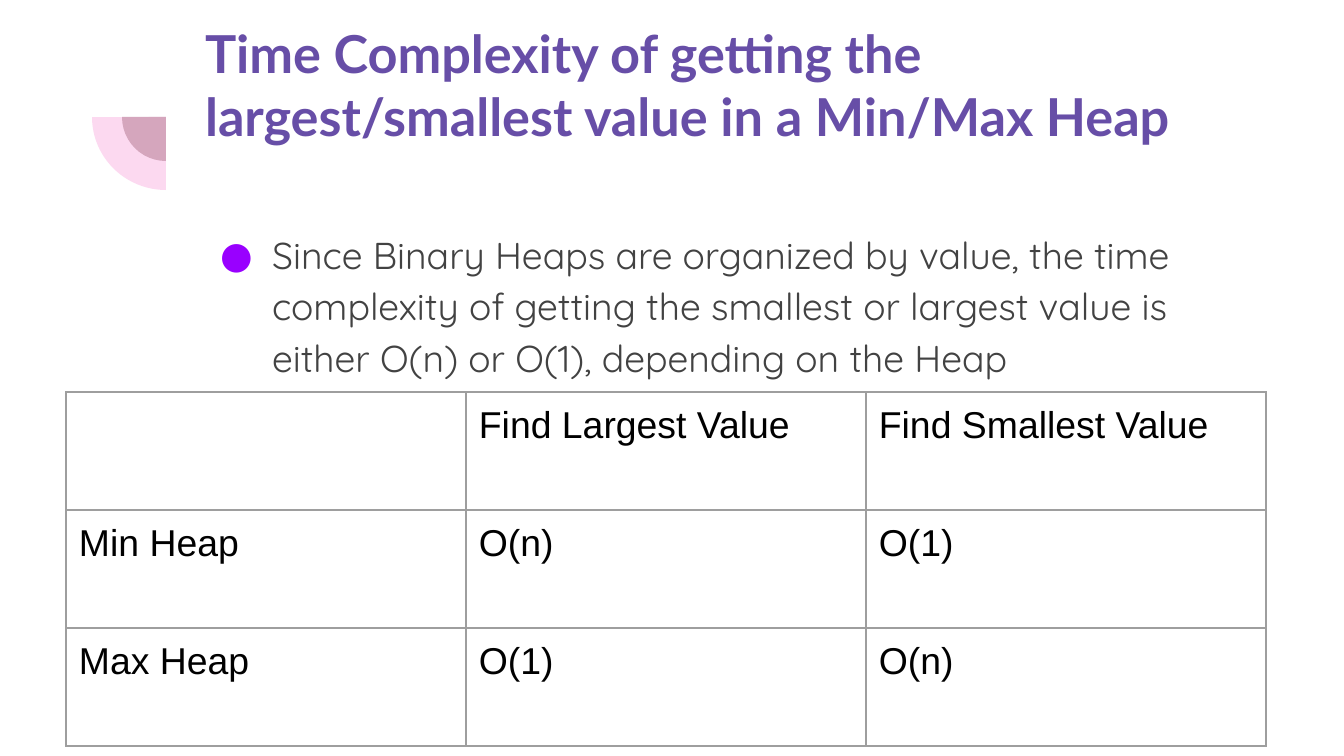
from lxml import etree
from pptx import Presentation
from pptx.dml.color import RGBColor
from pptx.enum.shapes import MSO_SHAPE
from pptx.enum.text import MSO_ANCHOR
from pptx.oxml.ns import qn
from pptx.util import Emu, Pt

PIE = MSO_SHAPE.PIE
TOP = MSO_ANCHOR.TOP
EMU_PER_PX = 914400 / 134.4
INSET = 13
BORDER_COLOR = "9E9E9E"
BORDER_WIDTH = Pt(0.75)

TITLE = "Time Complexity of getting the largest/smallest value in a Min/Max Heap"
BODY = (
    "Since Binary Heaps are organized by value, the time complexity of getting "
    "the smallest or largest value is either O(n) or O(1), depending on the Heap"
)
COMPLEXITIES = [
    ["", "Find Largest Value", "Find Smallest Value"],
    ["Min Heap", "O(n)", "O(1)"],
    ["Max Heap", "O(1)", "O(n)"],
]


def px(length):
    return Emu(round(length * EMU_PER_PX))


def color(value):
    return RGBColor.from_string(value)


def add_quarter(slide, left, top, width, height, fill):
    shape = slide.shapes.add_shape(PIE, px(left), px(top), px(width), px(height))
    shape.adjustments[0] = 54
    shape.adjustments[1] = 108
    shape.shadow.inherit = False
    shape.fill.solid()
    shape.fill.fore_color.rgb = color(fill)
    shape.line.fill.background()


def set_insets(holder):
    holder.margin_left = holder.margin_right = px(INSET)
    holder.margin_top = holder.margin_bottom = px(INSET)
    holder.vertical_anchor = TOP


def add_run(paragraph, text, size, font_name, font_color, bold=False):
    run = paragraph.add_run()
    run.text = text
    run.font.size = Pt(size)
    run.font.name = font_name
    run.font.bold = bold
    run.font.color.rgb = color(font_color)


def add_text_box(slide, left, top, width, height):
    shape = slide.shapes.add_textbox(px(left), px(top), px(width), px(height))
    frame = shape.text_frame
    frame.word_wrap = True
    set_insets(frame)
    return frame.paragraphs[0]


def add_bullet(paragraph, character, bullet_color, margin, indent):
    properties = paragraph._p.get_or_add_pPr()
    properties.set("marL", str(px(margin)))
    properties.set("indent", str(px(indent)))
    bullet_fill = etree.SubElement(properties, qn("a:buClr"))
    etree.SubElement(bullet_fill, qn("a:srgbClr"), val=bullet_color)
    etree.SubElement(properties, qn("a:buFont"), typeface="Quicksand")
    etree.SubElement(properties, qn("a:buChar"), char=character)


def set_borders(cell):
    properties = cell._tc.get_or_add_tcPr()
    for index, side in enumerate(("a:lnL", "a:lnR", "a:lnT", "a:lnB")):
        line = etree.Element(qn(side), w=str(BORDER_WIDTH))
        fill = etree.SubElement(line, qn("a:solidFill"))
        etree.SubElement(fill, qn("a:srgbClr"), val=BORDER_COLOR)
        properties.insert(index, line)


def add_grid(slide, rows, left, top, column_width, row_height):
    column_count = len(rows[0])
    table = slide.shapes.add_table(
        len(rows), column_count, px(left), px(top),
        px(column_width * column_count), px(row_height * len(rows)),
    ).table
    table.first_row = False
    table.horz_banding = False
    for column in table.columns:
        column.width = px(column_width)
    for row, texts in zip(table.rows, rows):
        row.height = px(row_height)
        for cell, text in zip(row.cells, texts):
            set_insets(cell)
            cell.fill.background()
            set_borders(cell)
            if text:
                add_run(cell.text_frame.paragraphs[0], text, 20, "Arial", "000000")


def main():
    presentation = Presentation()
    presentation.slide_width = px(1344)
    presentation.slide_height = px(756)
    slide = presentation.slides.add_slide(presentation.slide_layouts[6])

    add_quarter(slide, 92, 44, 148, 146, "FCD9F0")
    add_quarter(slide, 122, 73, 88, 88, "D5A6BD")

    title = add_text_box(slide, 192, 8, 1034, 235)
    add_run(title, TITLE, 28, "Lato", "674EA7", bold=True)

    body = add_text_box(slide, 192, 212, 1034, 194)
    add_bullet(body, "●", "9900FF", 67, -52)
    body.line_spacing = 1.15
    add_run(body, BODY, 20, "Quicksand", "424242")

    add_grid(slide, COMPLEXITIES, 66, 392, 400, 118)
    presentation.save("out.pptx")


if __name__ == "__main__":
    main()
